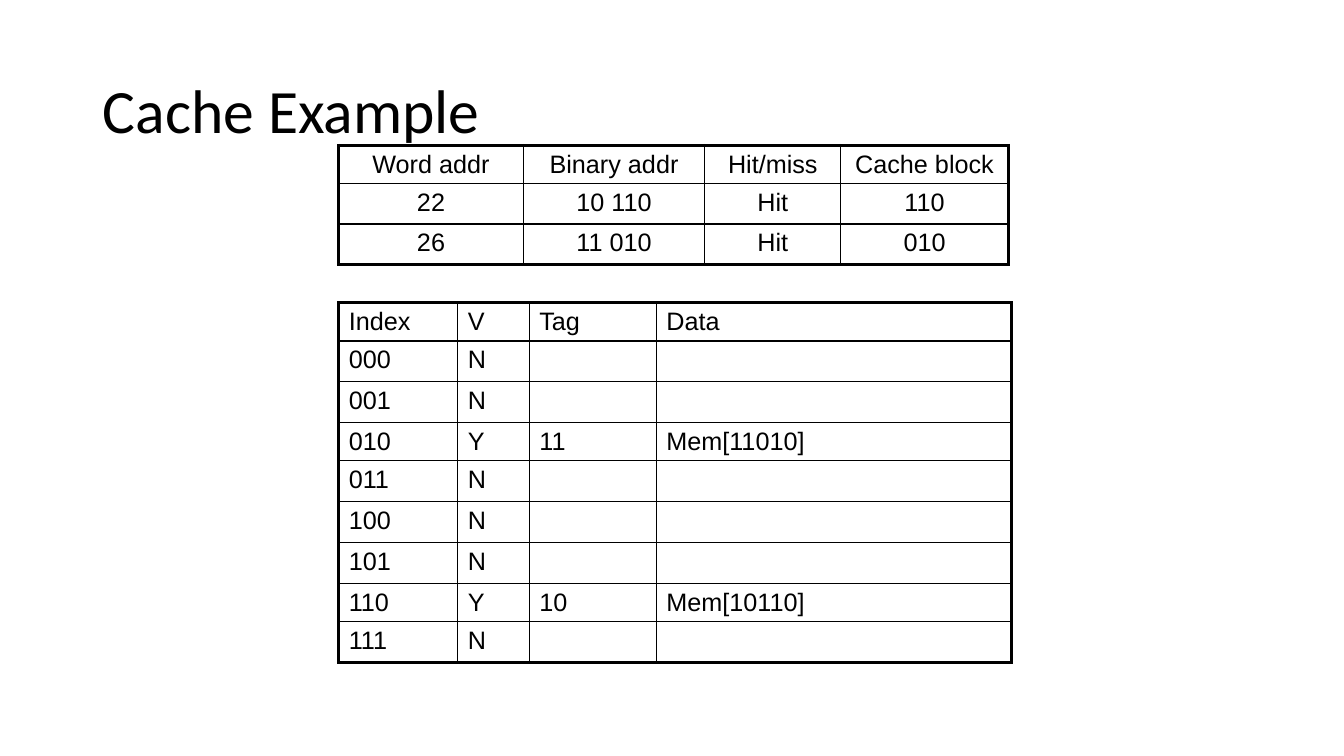
import pptx
import pptx.util
import pptx.dml.color
import pptx.enum.text
import pptx.oxml.ns
import lxml.etree

Inches, Pt = pptx.util.Inches, pptx.util.Pt
PP_ALIGN, ANCHOR = pptx.enum.text.PP_ALIGN, pptx.enum.text.MSO_ANCHOR
COLORS = {"ink": "000000"}
OUTER, HEADER, INNER = 2.25, 1.5, 1  # rule widths in points

ACCESSES = [
    ["Word addr", "Binary addr", "Hit/miss", "Cache block"],
    ["22", "10 110", "Hit", "110"],
    ["26", "11 010", "Hit", "010"],
]
CACHED = {"010": ["Y", "11", "Mem[11010]"], "110": ["Y", "10", "Mem[10110]"]}
CACHE = [["Index", "V", "Tag", "Data"]]
for block in range(8):
    index = f"{block:03b}"
    CACHE.append([index] + CACHED.get(index, ["N", "", ""]))


def write(paragraph, words, font, size, align):
    paragraph.alignment = align
    run = paragraph.add_run()
    run.text = words
    run.font.name = font
    run.font.size = Pt(size)
    run.font.color.rgb = pptx.dml.color.RGBColor.from_string(COLORS["ink"])


def rule_cell(cell, widths):
    """Draw the left, right, top and bottom rules of a cell."""
    qn = pptx.oxml.ns.qn
    properties = cell._tc.get_or_add_tcPr()
    for side, width in zip("LRTB", widths):
        line = lxml.etree.SubElement(properties, qn(f"a:ln{side}"), w=str(Pt(width)))
        fill = lxml.etree.SubElement(line, qn("a:solidFill"))
        lxml.etree.SubElement(fill, qn("a:srgbClr"), val=COLORS["ink"])


def add_title(slide, box, words):
    title = slide.shapes.title
    title.left, title.top, title.width, title.height = map(Inches, box)
    frame = title.text_frame
    frame.vertical_anchor = ANCHOR.MIDDLE
    frame.paragraphs[0].line_spacing = 0.9
    write(frame.paragraphs[0], words, "Calibri", 44, PP_ALIGN.LEFT)


def add_grid(slide, left, top, columns, heights, rows, align, row_rule):
    """Place a ruled table; row_rule separates the rows below the header."""
    grid = slide.shapes.add_table(
        len(rows), len(columns), Inches(left), Inches(top),
        Inches(sum(columns)), Inches(sum(heights))).table
    grid.first_row = grid.horz_banding = False
    for column, width in zip(grid.columns, columns):
        column.width = Inches(width)
    for row, height in zip(grid.rows, heights):
        row.height = Inches(height)

    across = [OUTER, HEADER] + [row_rule] * (len(rows) - 2) + [OUTER]
    down = [OUTER] + [INNER] * (len(columns) - 1) + [OUTER]
    for r, entries in enumerate(rows):
        for c, entry in enumerate(entries):
            cell = grid.cell(r, c)
            rule_cell(cell, down[c:c + 2] + across[r:r + 2])
            cell.fill.background()
            if entry:
                write(cell.text_frame.paragraphs[0], entry, "Arial", 18, align)


def build_cache_slide(deck):
    slide = deck.slides.add_slide(deck.slide_layouts[5])
    add_title(slide, (0.92, 0.4, 11.5, 1.45), "Cache Example")
    # Cache contents
    add_grid(slide, 3.36, 3, [1.18, 0.71, 1.26, 3.52], [0.36] * len(CACHE),
             CACHE, PP_ALIGN.LEFT, INNER)
    # Memory accesses
    add_grid(slide, 3.36, 1.44, [1.83, 1.8, 1.35, 1.66], [0.36, 0.4, 0.4],
             ACCESSES, PP_ALIGN.CENTER, HEADER)


deck = pptx.Presentation()
deck.slide_width, deck.slide_height = Inches(13.33), Inches(7.5)
build_cache_slide(deck)
deck.save("out.pptx")
